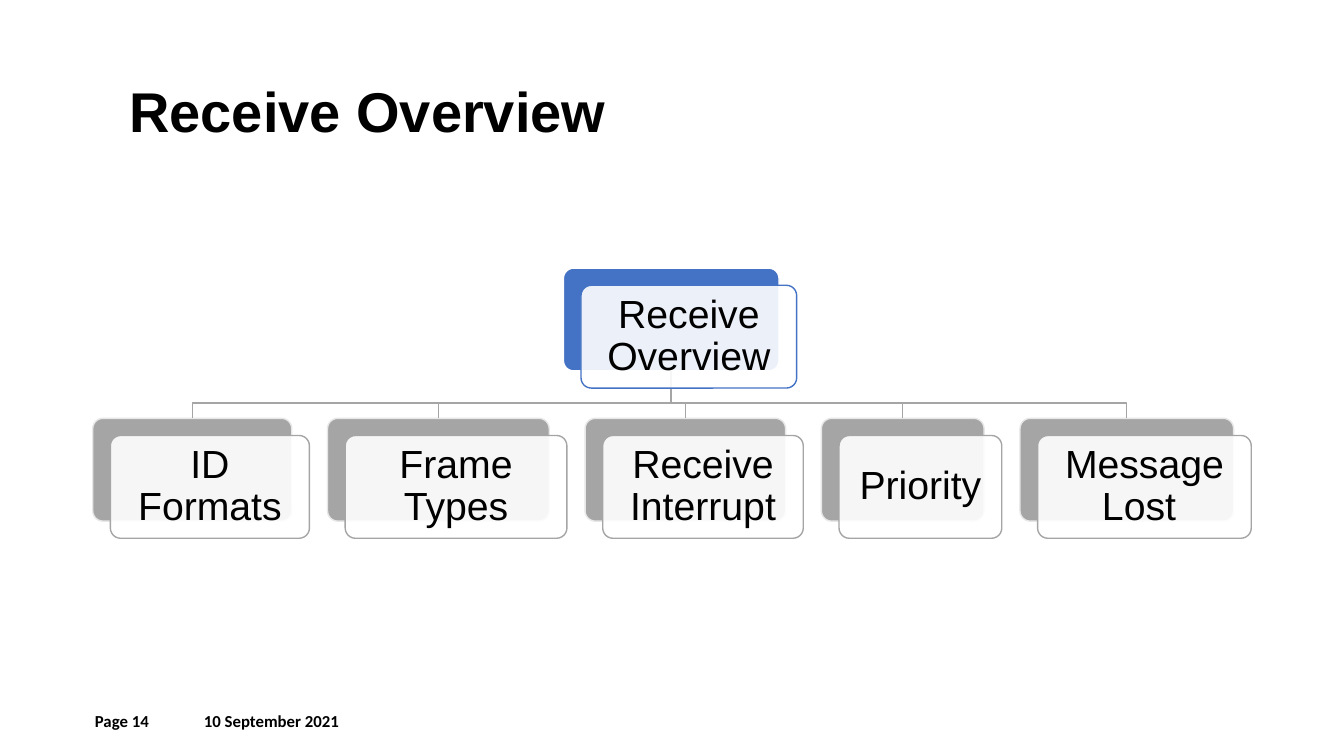
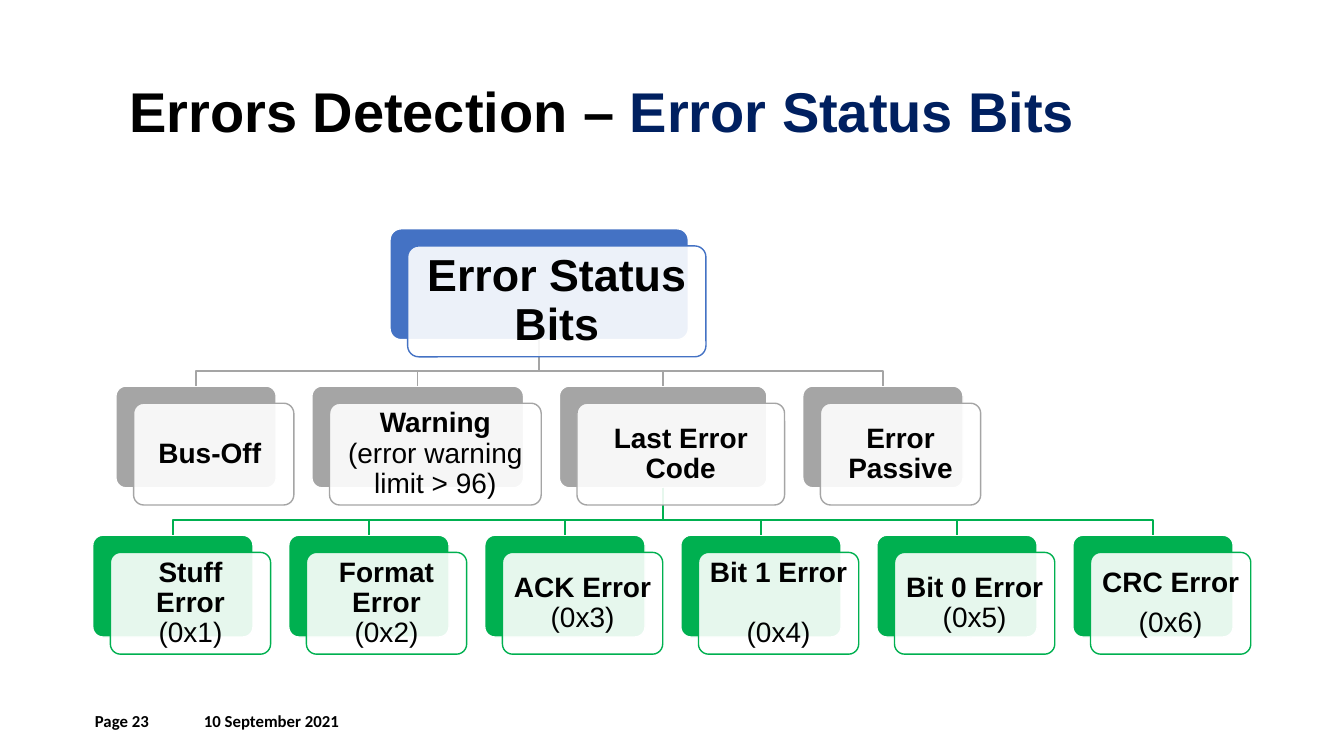
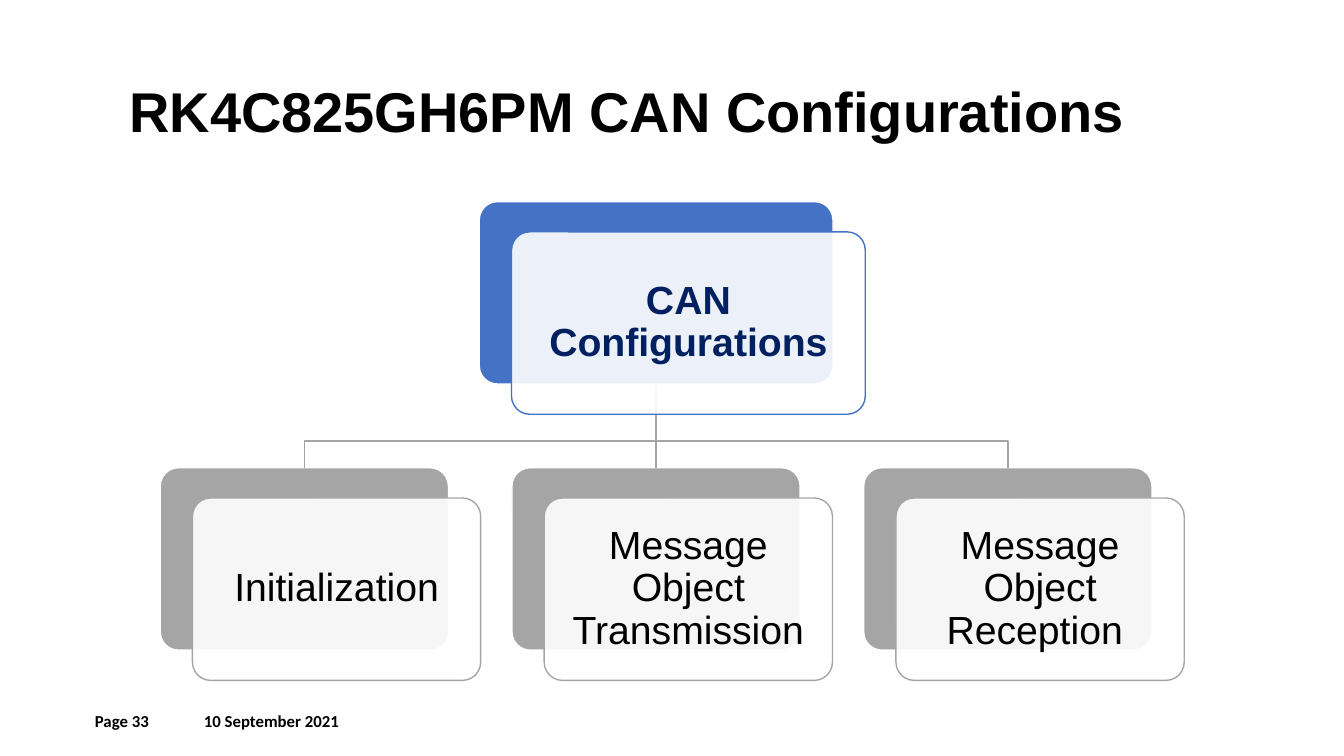
from lxml.etree import SubElement
from pptx import Presentation
from pptx.dml.color import RGBColor
from pptx.enum.shapes import MSO_CONNECTOR, MSO_SHAPE
from pptx.enum.text import MSO_ANCHOR, PP_ALIGN
from pptx.oxml.ns import qn
from pptx.util import Emu, Pt

EMU_PER_PX = 4572  # 200 px to the inch
BLACK, WHITE, NAVY = "000000", "FFFFFF", "002060"
BLUE, GRAY, GREEN, PALE_GRAY = "4472C4", "A5A5A5", "00B050", "E7E7E7"
BOTTOM, TOP = 2, 0


def px(length):
    return Emu(length * EMU_PER_PX)


def color(value):
    return RGBColor.from_string(value)


class Deck:
    """Shared style, and the slide being drawn."""

    def __init__(self):
        self.presentation = Presentation()
        self.presentation.slide_width = px(2667)
        self.presentation.slide_height = px(1500)

    def new_slide(self, page, title, accent="", offset=(35, 34)):
        layout = self.presentation.slide_layouts[6]
        self.shapes = self.presentation.slides.add_slide(layout).shapes
        self.offset = offset
        # Title, with an optional navy ending
        heading = self.label(237, 142, 2176, 154, title, 40, "Arial")
        if accent:
            ending = heading.add_run()
            ending.text = accent
            self.style(ending, 40, NAVY, True)
        # Footer
        self.label(385, 1390, 600, 80, "10 September 2021", 12, "Calibri", MSO_ANCHOR.MIDDLE)
        number = self.label(161, 1390, 154, 80, f"Page {page}", 12, "Calibri", MSO_ANCHOR.MIDDLE)
        number.alignment = PP_ALIGN.RIGHT

    def style(self, run, size, text_color=BLACK, bold=False, font="Arial"):
        run.font.name = font
        run.font.size = Pt(size)
        run.font.bold = bold
        run.font.color.rgb = color(text_color)

    def label(self, left, top, width, height, text, size, font, anchor=MSO_ANCHOR.TOP):
        frame = self.shapes.add_textbox(px(left), px(top), px(width), px(height)).text_frame
        frame.word_wrap = True
        frame.vertical_anchor = anchor
        frame.text = text
        paragraph = frame.paragraphs[0]
        self.style(paragraph.runs[0], size, bold=True, font=font)
        return paragraph

    def outline(self, shape, line_color):
        shape.line.color.rgb = color(line_color)
        shape.line.width = Pt(1)

    def rounded(self, left, top, width, height, fill, edge):
        card = self.shapes.add_shape(MSO_SHAPE.ROUNDED_RECTANGLE, left, top, width, height)
        card.adjustments[0] = 0.1
        card.shadow.inherit = False
        card.fill.solid()
        card.fill.fore_color.rgb = color(fill)
        self.outline(card, edge)
        return card

    def tier(self, left, top, height, widths, fill, gap=0, edge=WHITE):
        """Back cards of one level, side by side with equal gaps."""
        backs = []
        for width in widths:
            backs.append(self.rounded(px(left), px(top), px(width), px(height), fill, edge))
            left += width + gap
        return backs

    def branch(self, parent, children, line_color=GRAY):
        """A bent line from the parent to each child, straight if one is right below."""
        trunk_x = parent.left + parent.width // 2
        start = parent.top + parent.height
        for child in children:
            child_x = child.left + child.width // 2
            bend = start + (child.top - start) * 68 // 100
            if abs(child_x - trunk_x) <= px(1):
                drop = self.shapes.add_connector(
                    MSO_CONNECTOR.STRAIGHT, trunk_x, start, child_x, child.top)
                drop.begin_connect(parent, BOTTOM)
                drop.end_connect(child, TOP)
                SubElement(drop.element.spPr, qn("a:effectLst"))
            else:
                builder = self.shapes.build_freeform(trunk_x, start)
                builder.add_line_segments(
                    [(trunk_x, bend), (child_x, bend), (child_x, child.top)], close=False)
                drop = builder.convert_to_shape()
                drop.shadow.inherit = False
                drop.fill.background()
            self.outline(drop, line_color)

    def front(self, back, lines, size, inset, text_color=BLACK, bold=False, gap=0):
        """Translucent card over a back card; only its first line may be bold."""
        dx, dy = self.offset
        fill = back.fill.fore_color.rgb
        card = self.rounded(back.left + px(dx), back.top + px(dy),
                            back.width, back.height, WHITE, str(fill))
        white = card.element.spPr.find(qn("a:solidFill")).find(qn("a:srgbClr"))
        SubElement(white, qn("a:alpha"), val="90000")
        frame = card.text_frame
        frame.word_wrap = True
        frame.vertical_anchor = MSO_ANCHOR.MIDDLE
        frame.margin_left = frame.margin_right = px(inset)
        frame.margin_top = frame.margin_bottom = px(inset)
        frame.text = "\n".join(lines)
        for index, paragraph in enumerate(frame.paragraphs):
            paragraph.alignment = PP_ALIGN.CENTER
            paragraph.line_spacing = 0.9
            paragraph.space_after = Pt(gap if index < len(lines) - 1 else 0)
            self.style(paragraph.runs[0], size, text_color, bold and index == 0)


def receive_overview(deck):
    deck.new_slide(14, "Receive Overview")
    root, = deck.tier(1118, 532, 204, [428], BLUE)
    topics = deck.tier(184, 830, 204, [395, 440, 398, 323, 424], GRAY, 71, PALE_GRAY)
    deck.branch(root, topics)
    names = ["Receive Overview", "ID Formats", "Frame Types",
             "Receive Interrupt", "Priority", "Message Lost "]
    for back, name in zip([root] + topics, names):
        deck.front(back, [name], 28, 23)


def error_status_bits(deck):
    deck.new_slide(23, "Errors Detection – ", "Error Status Bits")
    root, = deck.tier(774, 454, 220, [592], BLUE)
    statuses = deck.tier(230, 766, 202, [318, 420, 412, 318], GRAY, 71)
    codes = deck.tier(184, 1062, 202, [318] * 6, GREEN, 71)
    deck.branch(root, statuses)
    deck.branch(statuses[2], codes, GREEN)
    deck.front(root, ["Error Status Bits"], 32, 25, bold=True)
    status_lines = [["Bus-Off "], ["Warning", "(error warning limit > 96)"],
                    ["Last Error Code"], ["Error Passive"]]
    for back, lines in zip(statuses, status_lines):
        deck.front(back, lines, 20, 15, bold=True)
    # Error name and the space below it, in points
    errors = [("Stuff Error", 0), ("Format Error", 0), ("ACK Error", 0),
              ("Bit 1 Error", 21), ("Bit 0 Error", 0), ("CRC Error", 7)]
    for value, (back, (name, gap)) in enumerate(zip(codes, errors), 1):
        deck.front(back, [name, f"(0x{value})"], 20, 15, bold=True, gap=gap)


def can_configurations(deck):
    deck.new_slide(33, "RK4C825GH6PM CAN Configurations", offset=(64, 60))
    root, = deck.tier(951, 400, 362, [702], BLUE)
    steps = deck.tier(318, 928, 362, [572] * 3, GRAY, 126)
    deck.branch(root, steps)
    deck.front(root, ["CAN Configurations"], 28, 23, NAVY, True)
    names = ["Initialization", "Message Object Transmission", "Message Object Reception "]
    for back, name in zip(steps, names):
        deck.front(back, [name], 28, 23)


def main():
    deck = Deck()
    receive_overview(deck)
    error_status_bits(deck)
    can_configurations(deck)
    deck.presentation.save("out.pptx")


if __name__ == "__main__":
    main()
